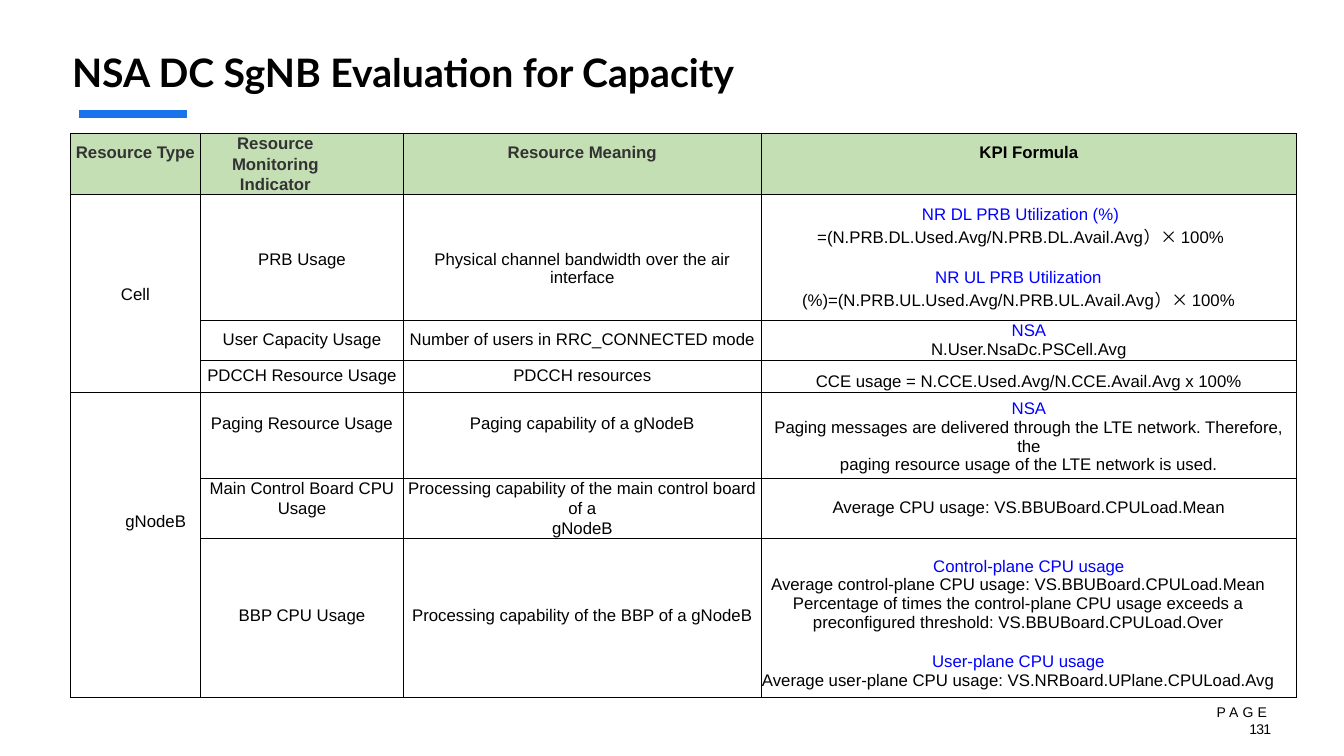
from dataclasses import dataclass

from lxml import etree
from pptx import Presentation
from pptx.dml.color import RGBColor
from pptx.enum.shapes import MSO_CONNECTOR
from pptx.enum.text import MSO_ANCHOR, PP_ALIGN
from pptx.oxml.ns import qn
from pptx.util import Pt

STRAIGHT = MSO_CONNECTOR.STRAIGHT
TOP, MIDDLE = MSO_ANCHOR.TOP, MSO_ANCHOR.MIDDLE
LEFT, CENTER, RIGHT = PP_ALIGN.LEFT, PP_ALIGN.CENTER, PP_ALIGN.RIGHT


class Theme:
    black, header_text = RGBColor(0, 0, 0), RGBColor(0x33, 0x33, 0x33)
    term, accent = RGBColor(0, 0, 0xFF), RGBColor(0x19, 0x73, 0xEB)
    header_fill = RGBColor(0xC5, 0xDF, 0xB4)
    title_font, body_font, cjk_font = "Lato", "Arial", "Noto Sans CJK JP"
    title_size, body_size, page_size = 28, 12, 10
    border = 0.5


@dataclass
class Para:
    """One cell paragraph: a blue term, then plain text; lengths in points."""
    text: str = ""
    term: str = ""
    before: float = 0
    left: float = 0
    right: float = 0
    line: float = 0


TITLE = "NSA DC SgNB Evaluation for Capacity"
TIMES = "）× "  # set in the CJK font
COLUMNS = [93, 145, 255.5, 382.5]
ROWS = [43, 90.5, 28, 22.75, 61.5, 43, 113.5]
TABLE_LEFT, TABLE_TOP = 50.25, 95.25
GROUPS = [(1, 3), (4, 6)]  # first and last row of each resource type

# Each cell is (top inset, paragraphs); None lies under a merged cell.
CELLS = [
    [(7, [Para("Resource Type")]),
     (0, [Para("Resource Monitoring Indicator", right=38, line=14.4)]),
     (7, [Para("Resource Meaning")]),
     (7, [Para("KPI Formula")])],
    [(65.5, [Para("Cell")]),
     (40, [Para("PRB Usage")]),
     (40, [Para("Physical channel bandwidth over the air interface")]),
     (8, [Para("=(N.PRB.DL.Used.Avg/N.PRB.DL.Avail.Avg）× 100%",
               "NR DL PRB Utilization (%) ", right=12),
          Para("(%)=(N.PRB.UL.Used.Avg/N.PRB.UL.Avail.Avg）× 100%",
               "NR UL PRB Utilization ", before=14, right=15)])],
    [None,
     (7, [Para("User Capacity Usage")]),
     (7, [Para("Number of users in RRC_CONNECTED mode")]),
     (0.5, [Para(term="NSA"), Para("N.User.NsaDc.PSCell.Avg", line=13.5)])],
    [None,
     (4.5, [Para("PDCCH Resource Usage")]),
     (4.5, [Para("PDCCH resources")]),
     (8.5, [Para("CCE usage = N.CCE.Used.Avg/N.CCE.Avail.Avg x 100%", line=13.5)])],
    [(86, [Para("gNodeB", left=29)]),
     (16, [Para("Paging Resource Usage")]),
     (16, [Para("Paging capability of a gNodeB")]),
     (5, [Para(term="NSA"),
          Para("Paging messages are delivered through the LTE network. Therefore, the"),
          Para("paging resource usage of the LTE network is used.", line=13.4)])],
    [None,
     (0, [Para("Main Control Board CPU", line=14.3), Para("Usage", line=13.9)]),
     (0, [Para("Processing capability of the main control board of a", line=14.3),
          Para("gNodeB", line=13.9)]),
     (14.5, [Para("Average CPU usage: VS.BBUBoard.CPULoad.Mean", line=13.4)])],
    [None,
     (48.5, [Para("BBP CPU Usage")]),
     (48.5, [Para("Processing capability of the BBP of a gNodeB")]),
     (13, [Para(term="Control-plane CPU usage"),
           Para("Average control-plane CPU usage: VS.BBUBoard.CPULoad.Mean "
                "Percentage of times the control-plane CPU usage exceeds a "
                "preconfigured threshold: VS.BBUBoard.CPULoad.Over", right=15),
           Para(term="User-plane CPU usage", before=14.4, right=15),
           Para("Average user-plane CPU usage: VS.NRBoard.UPlane.CPULoad.Avg",
                right=15, line=13.4)])],
]


def style(font, name, size, color, bold=False):
    font.name, font.size, font.bold = name, Pt(size), bold
    font.color.rgb = color


def set_insets(box, top=0):
    box.margin_left = box.margin_right = box.margin_bottom = 0
    box.margin_top = Pt(top)


def add_text(slide, left, top, width, height, align):
    """Add a wrapping, middle-anchored box and return its first paragraph."""
    sp = slide.shapes.add_textbox(Pt(left), Pt(top), Pt(width), Pt(height))
    tf = sp.text_frame
    tf.word_wrap, tf.vertical_anchor = True, MIDDLE
    set_insets(tf)
    p = tf.paragraphs[0]
    p.alignment = align
    return p


def add_run(p, text):
    r = p.add_run()
    r.text = text
    return r


def add_borders(cell):
    tcPr = cell._tc.get_or_add_tcPr()
    for side in "LRTB":
        ln = etree.SubElement(tcPr, qn(f"a:ln{side}"), w=str(Pt(Theme.border)))
        fill = etree.SubElement(ln, qn("a:solidFill"))
        etree.SubElement(fill, qn("a:srgbClr"), val=str(Theme.black))


def write_para(p, para, color, bold):
    p.alignment = CENTER
    p.space_before = Pt(para.before)
    if para.line:
        p.line_spacing = Pt(para.line)
    pPr = p._p.get_or_add_pPr()
    pPr.set("marL", str(Pt(para.left)))
    pPr.set("marR", str(Pt(para.right)))
    style(p.font, Theme.body_font, Theme.body_size, color, bold)
    if para.term:
        add_run(p, para.term).font.color.rgb = Theme.term
    for part in para.text.partition(TIMES):
        if part:
            r = add_run(p, part)
            if part == TIMES:
                r.font.name = Theme.cjk_font
                etree.SubElement(r._r.get_or_add_rPr(), qn("a:ea"),
                                 typeface=Theme.cjk_font)


def add_kpi_table(slide):
    table = slide.shapes.add_table(
        len(ROWS), len(COLUMNS), Pt(TABLE_LEFT), Pt(TABLE_TOP),
        Pt(sum(COLUMNS)), Pt(sum(ROWS))).table
    table.horz_banding = False
    for column, width in zip(table.columns, COLUMNS):
        column.width = Pt(width)
    for row, height in zip(table.rows, ROWS):
        row.height = Pt(height)
    for first, last in GROUPS:
        table.cell(first, 0).merge(table.cell(last, 0))
    for i, row in enumerate(CELLS):
        for j, content in enumerate(row):
            cell = table.cell(i, j)
            add_borders(cell)
            if i == 0:
                cell.fill.solid()
                cell.fill.fore_color.rgb = Theme.header_fill
            else:
                cell.fill.background()
            if content is None:
                continue
            top, paras = content
            set_insets(cell, top)
            cell.vertical_anchor = TOP
            in_header = i == 0 and j < len(COLUMNS) - 1
            color = Theme.header_text if in_header else Theme.black
            tf = cell.text_frame
            for k, para in enumerate(paras):
                p = tf.add_paragraph() if k else tf.paragraphs[0]
                write_para(p, para, color, bold=i == 0)


def main():
    prs = Presentation()
    prs.slide_width, prs.slide_height = Pt(960), Pt(540)
    slide = prs.slides.add_slide(prs.slide_layouts[6])

    rule = slide.shapes.add_connector(STRAIGHT, Pt(56.4), Pt(81.4), Pt(133.4), Pt(81.4))
    rule.line.color.rgb, rule.line.width = Theme.accent, Pt(6)
    etree.SubElement(rule._element.spPr, qn("a:effectLst"))

    p = add_text(slide, 51.5, 34, 864, 35, LEFT)
    style(p.font, Theme.title_font, Theme.title_size, Theme.black, True)
    add_run(p, TITLE)

    add_kpi_table(slide)

    p = add_text(slide, 851, 502.5, 57, 24.5, RIGHT)
    style(p.font, Theme.body_font, Theme.page_size, Theme.black)
    for text, spacing in (("PAGE ", 300), ("131", -50)):
        add_run(p, text)._r.get_or_add_rPr().set("spc", str(spacing))

    prs.save("out.pptx")


if __name__ == "__main__":
    main()
